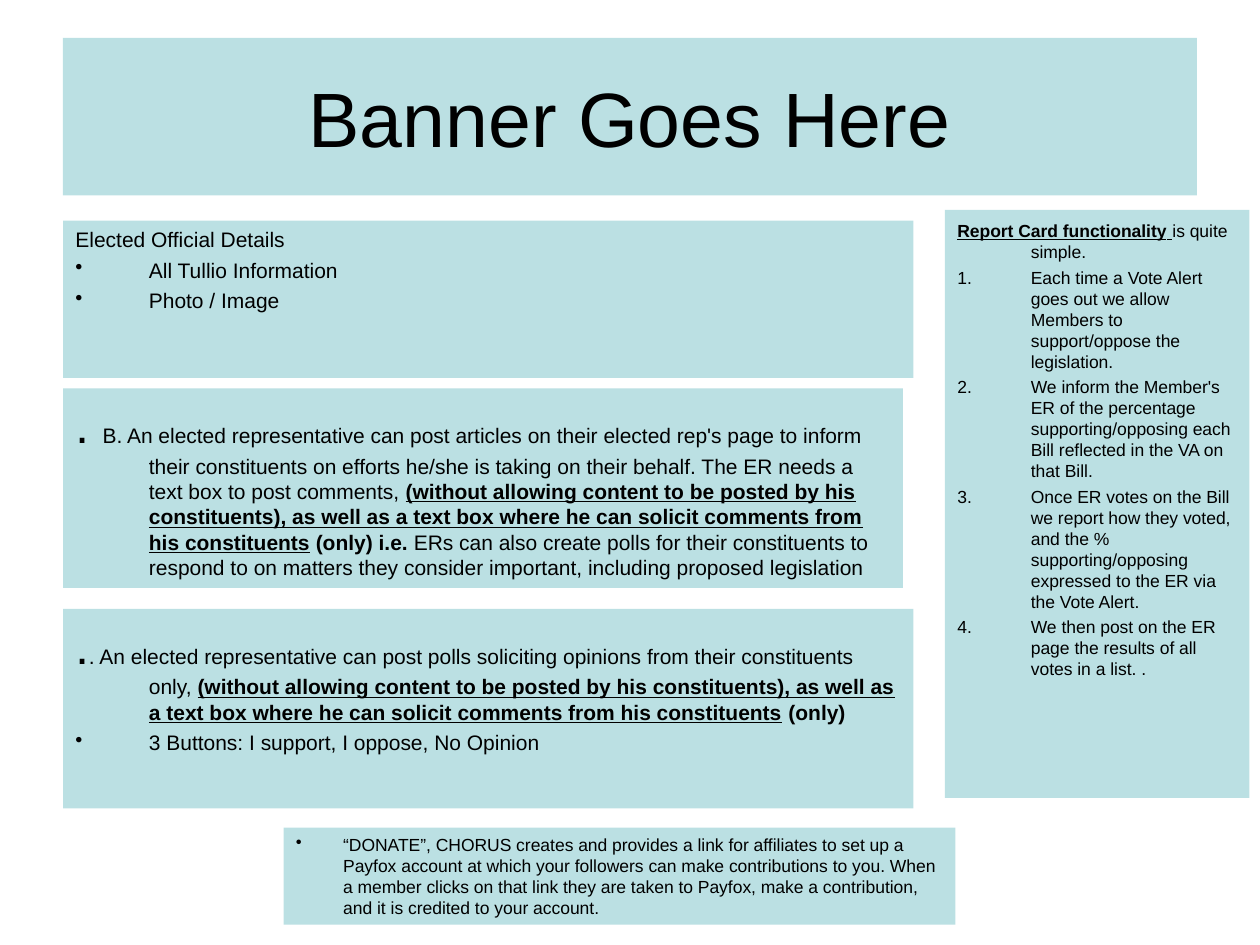
from dataclasses import dataclass

import pptx
import pptx.dml.color
import pptx.enum.shapes
import pptx.enum.text
import pptx.oxml.ns
import pptx.util
from lxml import etree

Pt = pptx.util.Pt
ALIGN = pptx.enum.text.PP_ALIGN
ANCHOR = pptx.enum.text.MSO_ANCHOR
PANEL, INK, FONT = "BBE0E3", "000000", "Arial"
BULLET = ("buChar", "char", "•")
NUMBER = ("buAutoNum", "type", "arabicPeriod")
WARNING = ("(without allowing content to be posted by his constituents), "
           "as well as a text box where he can solicit comments from his constituents")


@dataclass
class Span:
    text: str
    size: float | None = None
    bold: bool = False
    underline: bool = False


@dataclass
class Para:
    spans: list[Span]
    marker: tuple[str, str, str] | None = None


@dataclass
class Panel:
    left: float
    top: float
    width: float
    height: float
    size: float
    paras: list[Para]
    hanging: float = 42
    space_before: float = 3
    align: ALIGN = ALIGN.LEFT
    anchor: ANCHOR = ANCHOR.TOP


def colour(value: str) -> pptx.dml.color.RGBColor:
    """Turn a hex string into a colour."""
    return pptx.dml.color.RGBColor.from_string(value)


def plain(text: str, marker: tuple[str, str, str] | None = None) -> Para:
    """Make a paragraph of one unstyled span."""
    return Para([Span(text)], marker)


def set_marker(paragraph, hanging: float, marker: tuple[str, str, str] | None) -> None:
    """Give a paragraph its hanging indent and its bullet or number."""
    properties = paragraph._p.get_or_add_pPr()
    properties.set("marL", str(Pt(hanging)))
    properties.set("indent", str(-Pt(hanging)))
    tag, key, value = marker or ("buNone", None, None)
    element = etree.SubElement(properties, pptx.oxml.ns.qn(f"a:{tag}"))
    if key:
        element.set(key, value)


def draw_panel(page, panel: Panel) -> None:
    """Draw a filled rectangle with its paragraphs."""
    box = page.shapes.add_shape(
        pptx.enum.shapes.MSO_SHAPE.RECTANGLE,
        Pt(panel.left), Pt(panel.top), Pt(panel.width), Pt(panel.height))
    box.shadow.inherit = False
    box.fill.solid()
    box.fill.fore_color.rgb = colour(PANEL)
    box.line.fill.background()
    frame = box.text_frame
    frame.word_wrap = True
    frame.vertical_anchor = panel.anchor
    for index, para in enumerate(panel.paras):
        paragraph = frame.add_paragraph() if index else frame.paragraphs[0]
        paragraph.alignment = panel.align
        paragraph.space_before = Pt(panel.space_before)
        set_marker(paragraph, panel.hanging, para.marker)
        paragraph.font.name = FONT
        paragraph.font.size = Pt(panel.size)
        paragraph.font.color.rgb = colour(INK)
        for span in para.spans:
            run = paragraph.add_run()
            run.text = span.text
            if span.size:
                run.font.size = Pt(span.size)
            if span.bold:
                run.font.bold = True
            if span.underline:
                run.font.underline = True


PANELS = [
    Panel(36, 21.6, 648, 90, 44, [plain("Banner Goes Here")],
          hanging=0, space_before=0, align=ALIGN.CENTER, anchor=ANCHOR.MIDDLE),
    Panel(162, 473, 384, 55.4, 10, [
        plain("“DONATE”, CHORUS creates and provides a link for affiliates to set up a "
              "Payfox account at which your followers can make contributions to you. When "
              "a member clicks on that link they are taken to Payfox, make a contribution, "
              "and it is credited to your account.", BULLET),
    ], hanging=27, space_before=2.5),
    Panel(540, 120, 174, 336, 10, [
        Para([Span("Report Card functionality", bold=True, underline=True),
              Span(" ", 12, bold=True, underline=True),
              Span("is quite simple.")]),
        plain("Each time a Vote Alert goes out we allow Members to support/oppose "
              "the legislation.", NUMBER),
        plain("We inform the Member's ER of the percentage supporting/opposing each "
              "Bill reflected in the VA on that Bill.", NUMBER),
        plain("Once ER votes on the Bill we report how they voted, and the % "
              "supporting/opposing expressed to the ER via the Vote Alert.", NUMBER),
        plain("We then post on the ER page the results of all votes in a list. .", NUMBER),
    ], space_before=2.5),
    Panel(36, 126, 486, 90, 12, [
        plain("Elected Official Details"),
        plain("All Tullio Information", BULLET),
        plain("Photo / Image", BULLET),
    ]),
    Panel(36, 222, 480, 114, 12, [
        Para([Span(". ", 28),
              Span("B. An elected representative can post articles on their elected rep's "
                   "page to inform their constituents on efforts he/she is taking on their "
                   "behalf. The ER needs a text box to post comments, "),
              Span(WARNING, bold=True, underline=True),
              Span(" "),
              Span("(only) i.e. ", bold=True),
              Span("ERs can also create polls for their constituents to respond to on "
                   "matters they consider important, including proposed legislation")]),
    ]),
    Panel(36, 348, 486, 114, 12, [
        Para([Span(".", 28),
              Span(". An elected representative can post polls soliciting opinions from "
                   "their constituents only, "),
              Span(WARNING, bold=True, underline=True),
              Span(" "),
              Span("(only)", bold=True)]),
        plain("3 Buttons: I support, I oppose, No Opinion", BULLET),
    ]),
]


def main() -> None:
    """Build the slide and save the deck."""
    deck = pptx.Presentation()
    deck.slide_width, deck.slide_height = Pt(720), Pt(540)
    page = deck.slides.add_slide(deck.slide_layouts[6])
    for panel in PANELS:
        draw_panel(page, panel)
    deck.save("out.pptx")


if __name__ == "__main__":
    main()
